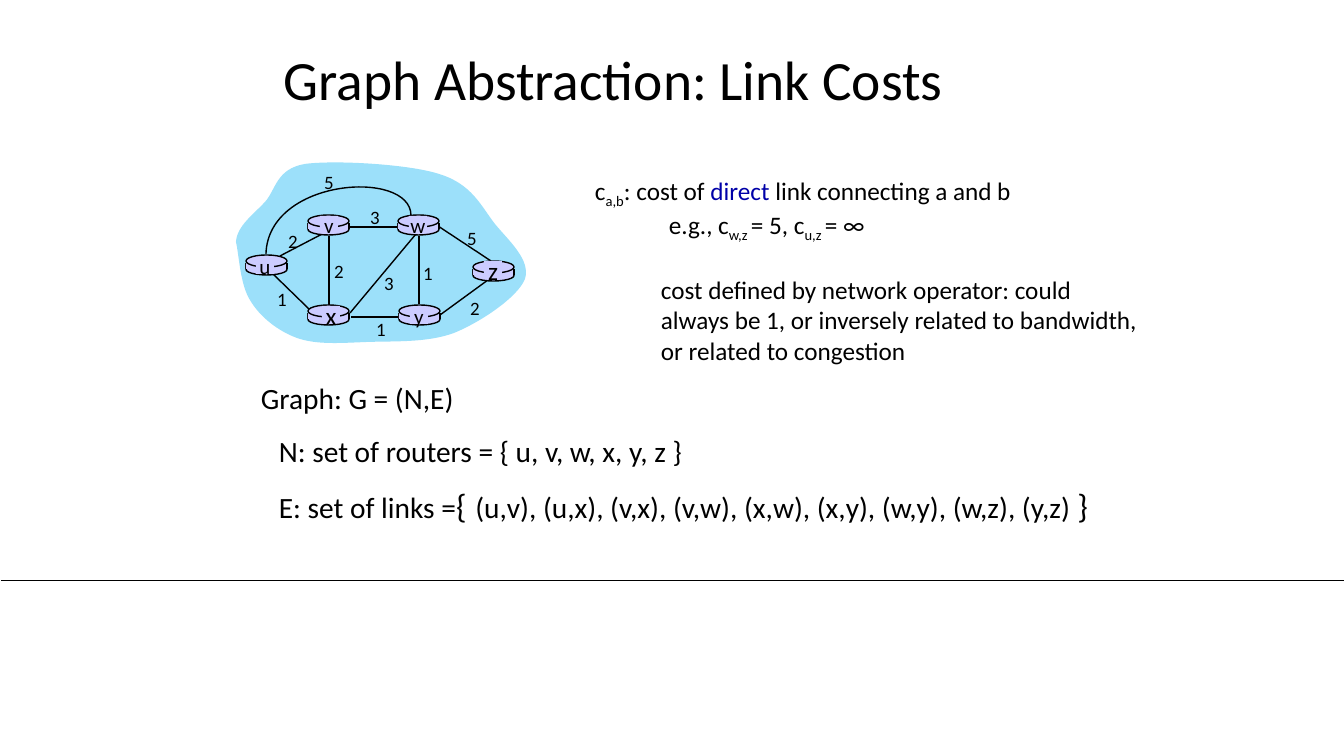
from lxml.etree import SubElement as Sub
from pptx import Presentation
from pptx.dml.color import RGBColor as Rgb
from pptx.enum.shapes import MSO_CONNECTOR as Conn, MSO_SHAPE as Kind
from pptx.enum.text import MSO_ANCHOR as Anchor, PP_ALIGN as Align
from pptx.oxml.ns import qn
from pptx.util import Pt

PX = 914400 / 100.8
HUE = {"ink": "000000", "cloud": "9CE0FA", "node": "CCCCFF", "key": "0000A8"}

# Graph: name -> disc left, disc top, letter centre x, y, letter size
NODES = {
    "u": (246, 255, 265, 266, 15),
    "x": (308, 305, 331, 315, 18),
    "v": (308, 215, 329, 225, 15),
    "w": (398, 215, 418, 225, 15),
    "y": (399, 305, 419, 316, 15),
    "z": (473, 261, 493, 270, 18),
}
# Links: cost, its centre, line ends
LINKS = [
    (2, (293, 241), (280, 256, 326, 232)),
    (1, (428, 273), (419, 236, 419, 304)),
    (2, (339, 271), (329, 236, 329, 306)),
    (3, (389, 283), (350, 313, 416, 234)),
    (2, (475, 308), (440, 315, 488, 280)),
    (1, (381, 329), (399, 317, 351, 317)),
    (1, (282, 299), (309, 309, 273, 274)),
    (3, (375, 217), (398, 227, 350, 227)),
    (5, (472, 238), (491, 261, 438, 226)),
]
ARC_COST = (5, (329, 182))
# Curves: start, then two handles and an end per piece
ARC = (411, 215), [(410, 169, 268, 178, 266, 254)]
CLOUD = (236, 242), [
    (237, 226, 253, 215, 265, 202), (276, 190, 276, 169, 305, 164),
    (334, 160, 408, 164, 439, 174), (472, 184, 481, 206, 495, 224),
    (509, 241, 531, 260, 525, 279), (518, 297, 481, 322, 454, 333),
    (427, 343, 393, 341, 367, 342), (341, 343, 317, 345, 297, 338),
    (278, 331, 260, 317, 250, 300), (240, 284, 239, 254, 236, 242),
]

# Text: box, then paragraphs of (format, runs); a run is words and its format
LOW, KEY = {"base": "-25000"}, {"hue": "key"}
BODY, BRACE = {"size": Pt(21)}, {"size": Pt(24)}
TEXTS = [
    ((274, 45, 801, 74), [({"line_spacing": 0.9}, [
        ("Graph Abstraction: Link Costs", {"size": Pt(39.6)})])]),
    ((251, 375, 244, 82), [({}, [("Graph: G = (N,E)", BODY)])]),
    ((585, 170, 568, 194), [
        ({}, [("c", {}), ("a,b", LOW), (": cost of ", {}), ("direct", KEY),
              (" link connecting a and b", {})]),
        ({"left": 74}, [("e.g., c", {}), ("w,z ", LOW), ("= 5, c", {}),
                        ("u,z ", LOW), ("= ∞", {})]),
        ({"left": 66, "space_before": Pt(22)}, [
            ("cost defined by network operator: could always be 1, or "
             "inversely related to bandwidth, or related to congestion", {})]),
    ]),
    ((269, 428, 481, 45), [
        ({}, [("N: set of routers = { u, v, w, x, y, z }", BODY)])]),
    ((269, 476, 894, 56), [({}, [
        ("E: set of links =", BODY), ("{", BRACE), (" ", {"size": Pt(27)}),
        ("(u,v), (u,x), (v,x), (v,w), (x,w), (x,y), (w,y), (w,z), (y,z) ",
         BODY),
        ("}", BRACE)])]),
]


def emu(*vals):
    return [round(v * PX) for v in vals]


def ink(line, width=1):
    line.color.rgb = Rgb.from_string(HUE["ink"])
    line.width = Pt(width)


def paint(shape, hue, edge):
    shape.shadow.inherit = False
    if hue:
        shape.fill.solid()
        shape.fill.fore_color.rgb = Rgb.from_string(HUE[hue])
    else:
        shape.fill.background()
    if edge:
        ink(shape.line)
    else:
        shape.line.fill.background()


def block(kind, box, edge):
    paint(shapes.add_shape(kind, *emu(*box)), "node", edge)


def rule(ends, width=1):
    line = shapes.add_connector(Conn.STRAIGHT, *emu(*ends))
    ink(line.line, width)
    Sub(line._element.spPr, qn("a:effectLst"))


def curve(start, parts, hue, edge):
    pts = [emu(*part[i:i + 2]) for part in parts for i in (0, 2, 4)]
    pen = shapes.build_freeform(*emu(*start), scale=1.0)
    pen.add_line_segments(pts, close=parts[-1][4:] == start)
    shape = pen.convert_to_shape()
    # Turn each three line steps into one Bezier piece
    steps = list(shape._element.iter(qn("a:lnTo")))[:len(pts)]
    for i in range(0, len(pts), 3):
        steps[i].tag = qn("a:cubicBezTo")
        for step in steps[i + 1:i + 3]:
            steps[i].append(step[0])
            step.getparent().remove(step)
    paint(shape, hue, edge)


def write(para, words, form):
    run = para.add_run()
    run.text = words
    form = {"name": "Calibri", "size": Pt(18), "hue": "ink", **form}
    run.font.color.rgb = Rgb.from_string(HUE[form.pop("hue")])
    base = form.pop("base", None)
    for key, val in form.items():
        setattr(run.font, key, val)
    if base:
        run._r.get_or_add_rPr().set("baseline", base)


def label(words, mid, size):
    x, y = mid
    frame = shapes.add_textbox(*emu(x - 16, y - 17, 32, 34)).text_frame
    form = {"margin_left": 0, "margin_right": 0, "margin_top": 0,
            "margin_bottom": 0, "word_wrap": True,
            "vertical_anchor": Anchor.MIDDLE}
    for key, val in form.items():
        setattr(frame, key, val)
    para = frame.paragraphs[0]
    para.alignment = Align.CENTER
    write(para, words, {"size": Pt(size)})


deck = Presentation()
deck.slide_width, deck.slide_height = emu(1344, 756)
shapes = deck.slides.add_slide(deck.slide_layouts[6]).shapes

# Rule, cloud and links
rule((1, 580, 1344, 580), 0.5)
curve(*CLOUD, "cloud", False)
for cost, mid, ends in LINKS:
    rule(ends)
curve(*ARC, None, True)

# Routers: base, sides, body, lid, letter
for name, (x, y, cx, cy, size) in NODES.items():
    block(Kind.OVAL, (x, y + 9, 41, 11), True)
    for side in (x, x + 41):
        rule((side, y + 8, side, y + 14))
    block(Kind.RECTANGLE, (x, y + 8, 40, 6), False)
    block(Kind.OVAL, (x, y, 41, 12), True)
    block(Kind.RECTANGLE, (cx - 9, cy - 9, 18, 17), False)
    label(name, (cx, cy), size)

# Costs
for cost, mid, *rest in LINKS + [ARC_COST]:
    label(str(cost), mid, 13.5)

# Title and text
for i, (box, paras) in enumerate(TEXTS):
    frame = shapes.add_textbox(*emu(*box)).text_frame
    frame.word_wrap = True
    frame.vertical_anchor = Anchor.TOP if i else Anchor.MIDDLE
    for j, (form, runs) in enumerate(paras):
        para = frame.add_paragraph() if j else frame.paragraphs[0]
        for key, val in form.items():
            if key == "left":
                para._p.get_or_add_pPr().set("marL", str(*emu(val)))
            else:
                setattr(para, key, val)
        for words, look in runs:
            write(para, words, look)

deck.save("out.pptx")
